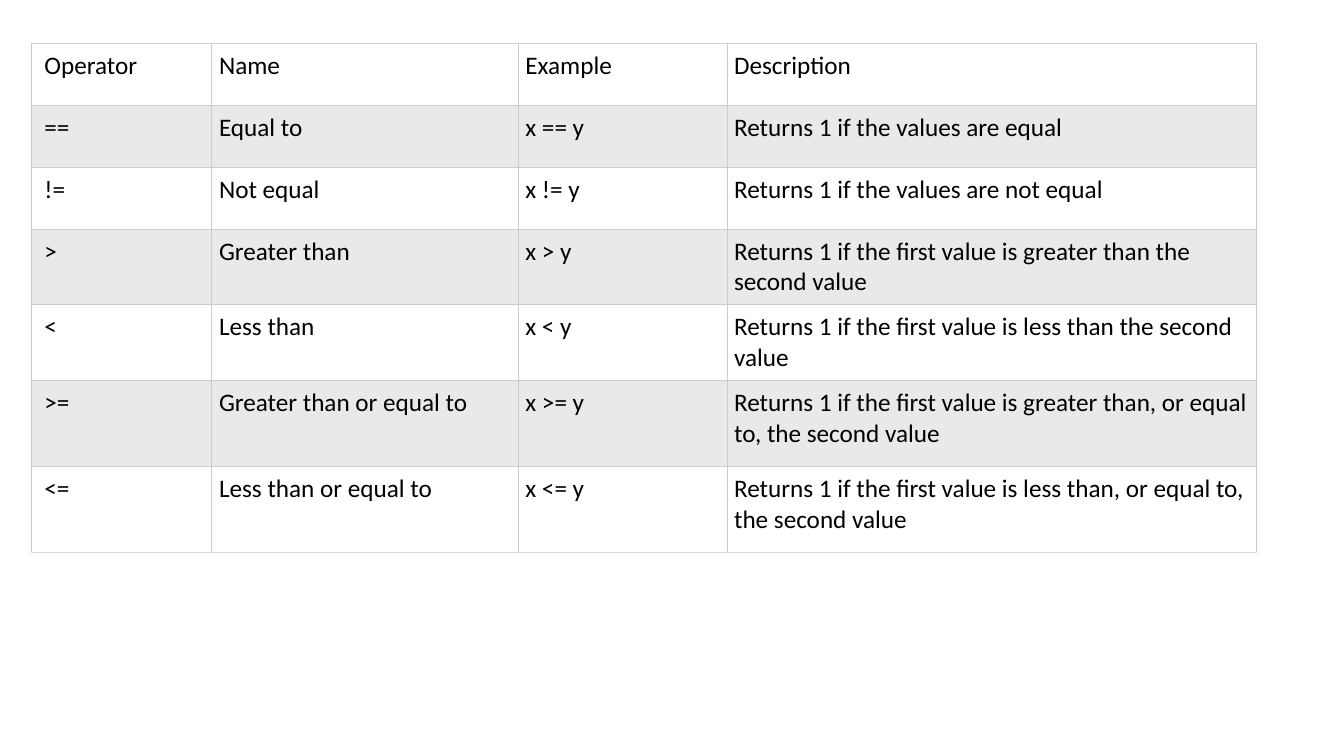
from lxml import etree
from pptx import Presentation
from pptx.dml.color import RGBColor
from pptx.oxml.ns import qn
from pptx.util import Cm, Pt

ROWS = [
    ("Operator", "Name", "Example", "Description"),
    ("==", "Equal to", "x == y", "Returns 1 if the values are equal"),
    ("!=", "Not equal", "x != y", "Returns 1 if the values are not equal"),
    (">", "Greater than", "x > y",
     "Returns 1 if the first value is greater than the second value"),
    ("<", "Less than", "x < y",
     "Returns 1 if the first value is less than the second value"),
    (">=", "Greater than or equal to", "x >= y",
     "Returns 1 if the first value is greater than, or equal to, the second value"),
    ("<=", "Less than or equal to", "x <= y",
     "Returns 1 if the first value is less than, or equal to, the second value"),
]
COL_WIDTHS = [4.55, 7.72, 5.26, 13.34]
ROW_HEIGHTS = [1.56] * 5 + [2.16] * 2
LEFT, TOP = 0.79, 1.09
PADDING, FIRST_PADDING = 0.18, 0.33

FONT = "Calibri"
BLACK = RGBColor(0x00, 0x00, 0x00)
WHITE = RGBColor(0xFF, 0xFF, 0xFF)
BAND = RGBColor(0xE7, 0xE9, 0xEB)
GRID = RGBColor(0xCC, 0xCC, 0xCC)
BOTTOM_EDGE = RGBColor(0xDD, 0xDD, 0xDD)


def add_borders(cell, bottom):
    tcPr = cell._tc.get_or_add_tcPr()
    for side, color in (("L", GRID), ("R", GRID), ("T", GRID), ("B", bottom)):
        ln = etree.SubElement(tcPr, qn(f"a:ln{side}"), w=str(Pt(0.75)))
        fill = etree.SubElement(ln, qn("a:solidFill"))
        etree.SubElement(fill, qn("a:srgbClr"), val=str(color))


def style_cell(cell, text, fill, left_padding, bottom):
    add_borders(cell, bottom)
    cell.fill.solid()
    cell.fill.fore_color.rgb = fill
    cell.margin_left = Cm(left_padding)
    cell.margin_right = cell.margin_top = cell.margin_bottom = Cm(PADDING)
    p = cell.text_frame.paragraphs[0]
    p.text = text
    font = p.runs[0].font
    font.name = FONT
    font.size = Pt(18)
    font.bold = False
    font.color.rgb = BLACK


def main():
    prs = Presentation()
    prs.slide_width, prs.slide_height = Cm(33.87), Cm(19.05)
    s = prs.slides.add_slide(prs.slide_layouts[6])
    table = s.shapes.add_table(
        len(ROWS), len(COL_WIDTHS), Cm(LEFT), Cm(TOP),
        Cm(sum(COL_WIDTHS)), Cm(sum(ROW_HEIGHTS))).table
    table.first_row = table.horz_banding = False
    for column, width in zip(table.columns, COL_WIDTHS):
        column.width = Cm(width)
    for row, height in zip(table.rows, ROW_HEIGHTS):
        row.height = Cm(height)
    for i, texts in enumerate(ROWS):
        fill = BAND if i % 2 else WHITE
        bottom = BOTTOM_EDGE if i == len(ROWS) - 1 else GRID
        for j, text in enumerate(texts):
            padding = PADDING if j else FIRST_PADDING
            style_cell(table.cell(i, j), text, fill, padding, bottom)
    prs.save("out.pptx")


if __name__ == "__main__":
    main()
